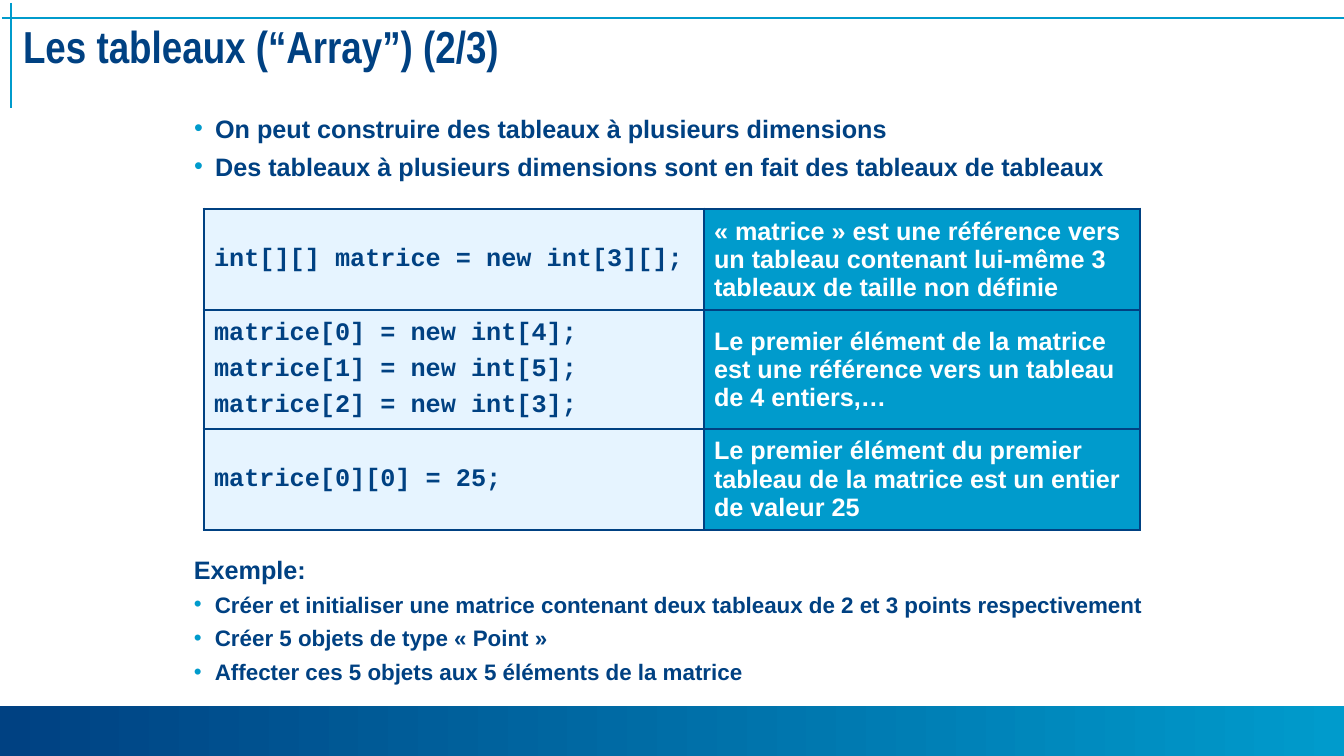
from lxml.etree import SubElement
from pptx import Presentation
from pptx.dml.color import RGBColor
from pptx.enum.shapes import MSO_CONNECTOR, MSO_SHAPE
from pptx.enum.text import MSO_ANCHOR, MSO_AUTO_SIZE, PP_ALIGN
from pptx.oxml.ns import qn
from pptx.util import Pt

NAVY, CYAN, PALE, WHITE = "004182", "009BCC", "E6F4FF", "FFFFFF"
WIDTH, HEIGHT = 1344, 756
SCALE = 914400 / 100.8

TITLE = "Les tableaux (“Array”) (2/3)"
DIMENSIONS = [
    "On peut construire des tableaux à plusieurs dimensions",
    "Des tableaux à plusieurs dimensions sont en fait des tableaux de tableaux",
]
MATRIX_STEPS = [
    (["int[][] matrice = new int[3][];"],
     "« matrice » est une référence vers un tableau contenant lui-même 3 tableaux de taille non définie"),
    (["matrice[0] = new int[4];", "matrice[1] = new int[5];", "matrice[2] = new int[3];"],
     "Le premier élément de la matrice est une référence vers un tableau de 4 entiers,…"),
    (["matrice[0][0] = 25;"],
     "Le premier élément du premier tableau de la matrice est un entier de valeur 25"),
]
EXAMPLE_HEADING = "Exemple:"
EXAMPLE_TASKS = [
    "Créer et initialiser une matrice contenant deux tableaux de 2 et 3 points respectivement",
    "Créer 5 objets de type « Point »",
    "Affecter ces 5 objets aux 5 éléments de la matrice",
]
COLUMN_WIDTHS = [500, 436]
ROW_HEIGHTS = [101, 119, 101]
CROSS_LINES = [(2, 18, WIDTH, 18), (11, 3, 11, 108)]


def px(length):
    return round(length * SCALE)


def box(*lengths):
    return [px(length) for length in lengths]


def color(value):
    return RGBColor.from_string(value)


def place(shape, *lengths):
    shape.left, shape.top, shape.width, shape.height = box(*lengths)


def style(paragraph, size, ink, face="Arial"):
    for run in paragraph.runs:
        run.font.size = Pt(size)
        run.font.name = face
        run.font.bold = True
        run.font.color.rgb = color(ink)


def space_before(paragraph):
    spacing = SubElement(paragraph._p.get_or_add_pPr(), qn("a:spcBef"))
    SubElement(spacing, qn("a:spcPct"), val="30000")


def add_bullet(paragraph):
    properties = paragraph._p.get_or_add_pPr()
    properties.set("marL", str(px(21)))
    properties.set("indent", str(-px(21)))
    tint = SubElement(properties, qn("a:buClr"))
    SubElement(tint, qn("a:srgbClr"), val=CYAN)
    SubElement(properties, qn("a:buFont"), typeface="Arial")
    SubElement(properties, qn("a:buChar"), char="•")


def write(frame, lines, size, ink, face="Arial", bullets_from=None):
    frame.text = "\n".join(lines)
    for index, paragraph in enumerate(frame.paragraphs):
        if index:
            space_before(paragraph)
        else:
            paragraph.space_before = Pt(0)
        if bullets_from is not None and index >= bullets_from:
            add_bullet(paragraph)
        style(paragraph, size, ink, face)


def add_border(cell, side, points):
    border = SubElement(cell._tc.get_or_add_tcPr(), qn(f"a:ln{side}"), w=str(Pt(points)))
    fill = SubElement(border, qn("a:solidFill"))
    SubElement(fill, qn("a:srgbClr"), val=NAVY)


def add_matrix_table(slide):
    frame = slide.shapes.add_table(
        len(ROW_HEIGHTS), len(COLUMN_WIDTHS),
        *box(204, 209, sum(COLUMN_WIDTHS), sum(ROW_HEIGHTS)))
    table = frame.table
    table.first_row = table.horz_banding = False
    for column, width in zip(table.columns, COLUMN_WIDTHS):
        column.width = px(width)
    for row, height in zip(table.rows, ROW_HEIGHTS):
        row.height = px(height)
    last = len(MATRIX_STEPS) - 1
    for index, (code, meaning) in enumerate(MATRIX_STEPS):
        columns = [(code, PALE, NAVY, "Courier New"), ([meaning], CYAN, WHITE, "Arial")]
        for position, (lines, background, ink, face) in enumerate(columns):
            cell = table.cell(index, position)
            outer = {"L": position == 0, "R": position == 1, "T": index == 0, "B": index == last}
            for side, is_outer in outer.items():
                add_border(cell, side, 2.25 if is_outer else 1)
            cell.fill.solid()
            cell.fill.fore_color.rgb = color(background)
            cell.vertical_anchor = MSO_ANCHOR.MIDDLE
            write(cell.text_frame, lines, 18, ink, face)


def add_decor(slide):
    footer = slide.shapes.add_shape(MSO_SHAPE.RECTANGLE, *box(0, 706, WIDTH, HEIGHT - 706))
    footer.shadow.inherit = False
    footer.line.fill.background()
    footer.fill.gradient()
    footer.fill.gradient_angle = 0
    for stop, shade in zip(footer.fill.gradient_stops, (NAVY, CYAN)):
        stop.color.rgb = color(shade)
    for ends in CROSS_LINES:
        rule = slide.shapes.add_connector(MSO_CONNECTOR.STRAIGHT, *box(*ends))
        rule.line.color.rgb = color(CYAN)
        rule.line.width = Pt(1)
        SubElement(rule._element.spPr, qn("a:effectLst"))


def main():
    deck = Presentation()
    deck.slide_width, deck.slide_height = box(WIDTH, HEIGHT)
    slide = deck.slides.add_slide(deck.slide_layouts[1])
    add_decor(slide)

    title = slide.shapes.title
    place(title, 13, 22, 1321, 102)
    title.text_frame.text = TITLE
    title.text_frame.vertical_anchor = MSO_ANCHOR.TOP
    title.text_frame.auto_size = MSO_AUTO_SIZE.NONE
    heading = title.text_frame.paragraphs[0]
    heading.alignment = PP_ALIGN.LEFT
    heading.line_spacing = 0.85
    style(heading, 32, NAVY, "Arial Narrow")

    body = slide.placeholders[1]
    place(body, 184, 108, 972, 100)
    body.text_frame.auto_size = MSO_AUTO_SIZE.NONE
    write(body.text_frame, DIMENSIONS, 18, NAVY, bullets_from=0)

    add_matrix_table(slide)

    example = slide.shapes.add_textbox(*box(184, 549, 991, 154)).text_frame
    example.word_wrap = True
    write(example, [EXAMPLE_HEADING, *EXAMPLE_TASKS], 16, NAVY, bullets_from=1)
    style(example.paragraphs[0], 18, NAVY)

    deck.save("out.pptx")


if __name__ == "__main__":
    main()
